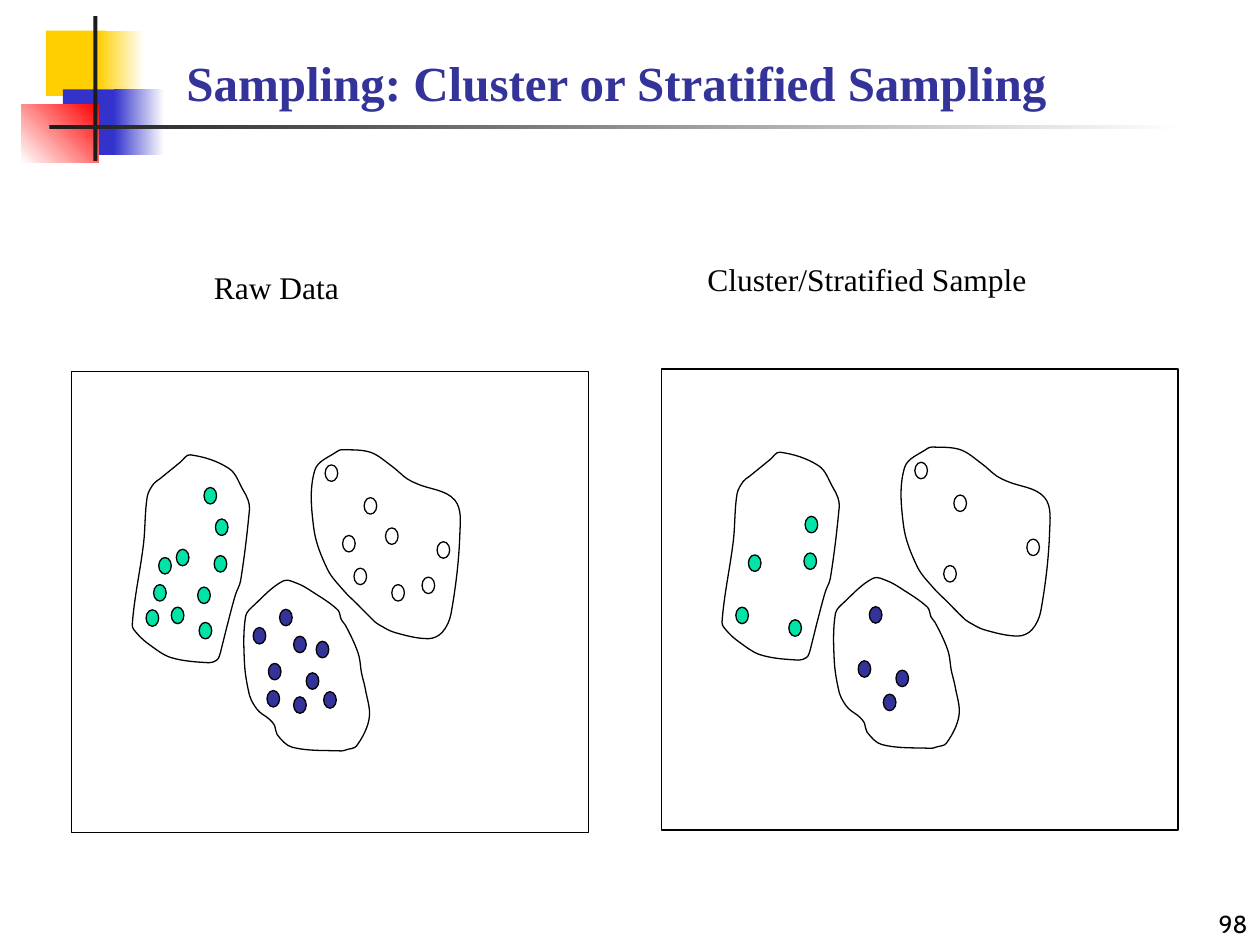
from dataclasses import dataclass
from math import hypot

from lxml.etree import Element
from pptx import Presentation
from pptx.dml.color import RGBColor
from pptx.enum.shapes import MSO_SHAPE
from pptx.enum.text import MSO_ANCHOR, PP_ALIGN
from pptx.oxml.ns import qn
from pptx.util import Pt

Point = tuple[float, float]
INK, WHITE, BLACK = "1C1C1C", "FFFFFF", "000000"
GOLD, BLUE, RED = "FFCF01", "3333CC", "FF0000"
NAVY, GREEN = "333399", "00E4A8"


@dataclass
class Bar:
    box: tuple[float, float, float, float]
    start: str
    end: str = ""
    angle: int = 0


@dataclass
class Label:
    text: str
    box: tuple[float, float, float, float]
    size: int
    color: str = BLACK
    font: str = "Times New Roman"
    bold: bool = False
    anchor: MSO_ANCHOR = MSO_ANCHOR.TOP
    align: PP_ALIGN = PP_ALIGN.LEFT


@dataclass
class Group:
    color: str
    kept: list[Point]     # dots in both panels
    rest: list[Point]     # dots in the raw data only
    edge: list[Point]     # points along the outline


def tint(code: str) -> RGBColor:
    return RGBColor.from_string(code)


def put(obj, vals: dict) -> None:
    for name, val in vals.items():
        setattr(obj, name, val)


def style(shape, fill: str = "") -> None:
    """Thin black line, with a plain fill or none."""
    shape.shadow.inherit = False
    if fill:
        shape.fill.solid()
        shape.fill.fore_color.rgb = tint(fill)
    else:
        shape.fill.background()
    shape.line.color.rgb = tint(BLACK)
    shape.line.width = Pt(0.75)


def add_bar(shapes, bar: Bar) -> None:
    shape = shapes.add_shape(MSO_SHAPE.RECTANGLE, *map(Pt, bar.box))
    style(shape, bar.start)
    shape.line.fill.background()
    if bar.end:
        shape.fill.gradient()
        shape.fill.gradient_angle = bar.angle
        for stop, code in zip(shape.fill.gradient_stops, (bar.start, bar.end)):
            stop.color.rgb = tint(code)


def add_label(shapes, label: Label) -> None:
    frame = shapes.add_textbox(*map(Pt, label.box)).text_frame
    put(frame, {"word_wrap": True, "vertical_anchor": label.anchor})
    para = frame.paragraphs[0]
    para.alignment = label.align
    run = para.add_run()
    run.text = label.text
    put(run.font, {"name": label.font, "size": Pt(label.size), "bold": label.bold})
    run.font.color.rgb = tint(label.color)


def unit(a: Point, b: Point) -> Point:
    size = hypot(b[0] - a[0], b[1] - a[1])
    return (b[0] - a[0]) / size, (b[1] - a[1]) / size


def curve(shape) -> None:
    """Turn straight sides into curves; sharp corners stay sharp."""
    sides = list(shape._element.iter(qn("a:lnTo")))
    ends = [(int(s[0].get("x")), int(s[0].get("y"))) for s in sides]
    count = len(ends)

    def slope(i: int, side: Point) -> Point:
        prev, here, after = ends[i - 1], ends[i], ends[(i + 1) % count]
        u, v = unit(prev, here), unit(here, after)
        sharp = u[0] * v[0] + u[1] * v[1] < 0.5
        return side if sharp else unit(prev, after)

    for i, side in enumerate(sides):
        a, b = ends[i - 1], ends[i]
        arm, way = hypot(b[0] - a[0], b[1] - a[1]) / 3, unit(a, b)
        u, v = slope((i - 1) % count, way), slope(i, way)
        side.tag = qn("a:cubicBezTo")
        grips = [[a[k] + arm * u[k] for k in (0, 1)], [b[k] - arm * v[k] for k in (0, 1)]]
        for n, (x, y) in enumerate(grips):
            side.insert(n, Element(qn("a:pt"), x=str(round(x)), y=str(round(y))))


def add_panel(shapes, dx: float, dy: float, full: bool) -> None:
    """Frame, dots and outlines, moved by dx and dy."""
    frame = shapes.add_shape(MSO_SHAPE.RECTANGLE, Pt(41 + dx), Pt(212.4 + dy), Pt(295.2), Pt(263.5))
    style(frame)
    for group in GROUPS:
        for x, y in group.kept + (group.rest if full else []):
            dot = shapes.add_shape(MSO_SHAPE.FLOWCHART_CONNECTOR,
                                   Pt(x + dx), Pt(y + dy), Pt(7.2), Pt(9.4))
            style(dot, group.color)
        pts = [(Pt(x + dx), Pt(y + dy)) for x, y in group.edge]
        pen = shapes.build_freeform(*pts[0])
        pen.add_line_segments(pts[1:] + pts[:1], close=True)
        shape = pen.convert_to_shape()
        style(shape)
        curve(shape)


# Corner blocks and rules
BARS = [
    Bar((26.2, 17.5, 34.6, 37.4), GOLD),
    Bar((56.2, 17.5, 25.9, 37.4), GOLD, WHITE),
    Bar((36, 51.1, 33.1, 37.4), BLUE),
    Bar((65, 51.1, 28.8, 37.4), BLUE, WHITE),
    Bar((12.2, 59.6, 44, 33.3), WHITE, RED, 45),
    Bar((53.3, 9.2, 2.4, 82.8), INK),
    Bar((28.2, 71.4, 648, 2.3), INK, WHITE),
]

LABELS = [
    Label("98", (570.2, 509.8, 149.8, 30.2), 14, font="Cabin",
          anchor=MSO_ANCHOR.BOTTOM, align=PP_ALIGN.RIGHT),
    Label("Sampling: Cluster or Stratified Sampling", (99.4, 20.2, 563, 46.8), 28,
          NAVY, bold=True, anchor=MSO_ANCHOR.BOTTOM),
    Label("Raw Data", (115.2, 149.4, 116, 36), 18),
    Label("Cluster/Stratified Sample", (397.2, 145.1, 257, 36), 18),
]

# The three clusters, as placed in the raw data panel
GROUPS = [
    Group(WHITE,
          [(208.1, 284.4), (202.3, 324.7), (249.8, 309.6), (185.8, 265.7)],
          [(220.3, 301.7), (195.8, 306), (241.2, 329.8), (223.9, 334.1)],
          [(259.9, 285.8), (262.8, 305.3), (257.8, 350.6), (252.7, 361.4),
           (244.8, 365), (225.4, 361.4), (216.7, 357.1), (214.6, 355.7),
           (203.8, 344.9), (196.6, 337.7), (187.2, 325.4), (179.3, 301.7),
           (180, 268.6), (193, 257.8), (195.8, 257), (211.7, 258.5), (223.9, 266.4),
           (232.6, 273.6), (238.3, 276.5)]),
    Group(NAVY,
          [(167.8, 398.2), (175, 384.5), (153.4, 379.1), (159.8, 348.2)],
          [(144.7, 358.6), (180.7, 366.5), (152.6, 394.6), (167.8, 363.6), (185, 395.3)],
          [(157, 414.7), (154.1, 411.1), (148.3, 406.8), (145.4, 403.2), (142.6, 397.4),
           (139.7, 378.7), (140.4, 352.1), (145.4, 345.6), (162, 331.9), (169.9, 333.4),
           (177.8, 337.7), (193, 348.5), (195.1, 354.2), (197.3, 357.1),
           (202.3, 367.2), (205.2, 375.1), (206.6, 384.5), (208.8, 393.8), (211, 410.4),
           (203.8, 426.2), (198, 428.4), (195.1, 429.1), (167, 427), (158.4, 419.8)]),
    Group(GREEN,
          [(83.5, 348.5), (90.7, 318.6), (113.8, 355.7), (122.4, 317.5), (123.1, 296.6)],
          [(97.9, 347), (87.8, 334.1), (113, 335.5), (100.8, 313.9), (116.6, 278.6)],
          [(134.6, 339.8), (130.3, 355.7), (126.7, 370.1), (125.3, 375.1), (123.8, 377.3),
           (119.5, 378.7), (97.9, 375.8), (85.7, 368.6), (78.5, 362.2), (75.6, 357.1),
           (82.1, 310.3), (84.2, 283.7), (87.8, 276.5), (91.4, 273.6),
           (99.4, 267.1), (103, 264.2), (108.7, 259.9), (131, 267.8),
           (139, 280.1), (141.8, 285.8), (142.6, 290.9), (137.5, 331.9)]),
]


def main() -> None:
    deck = Presentation()
    put(deck, {"slide_width": Pt(720), "slide_height": Pt(540)})
    shapes = deck.slides.add_slide(deck.slide_layouts[6]).shapes
    for bar in BARS:
        add_bar(shapes, bar)
    # Raw data at left, the sample at right
    add_panel(shapes, 0, 0, full=True)
    add_panel(shapes, 337, -1.5, full=False)
    for label in LABELS:
        add_label(shapes, label)
    deck.save("out.pptx")


if __name__ == "__main__":
    main()
